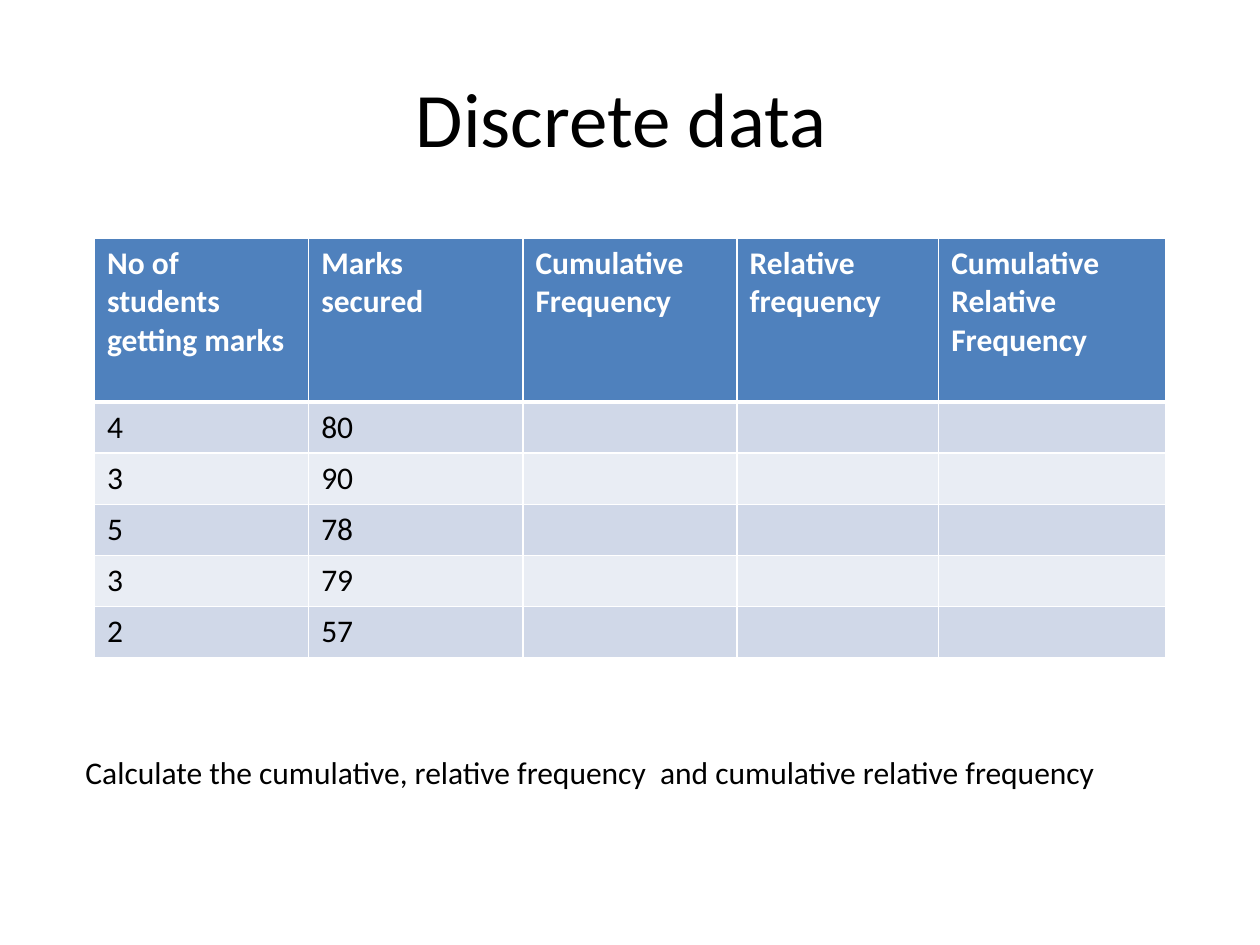
from dataclasses import dataclass

from lxml import etree
from pptx import Presentation
from pptx import util as u
from pptx.dml.color import RGBColor
from pptx.enum import text
from pptx.oxml.ns import qn

FONT = "Calibri"
COLORS = {
    "text": "000000",
    "white": "FFFFFF",
    "header": "4F81BD",
    "odd": "D0D8E8",
    "even": "E9EDF4",
}
COL_WIDTHS = [1.7, 1.7, 1.7, 1.6, 1.8]
HEADER_HEIGHT, TABLE_HEIGHT = 1.3, 3.33
HEADERS = [
    "No of students getting marks",
    "Marks secured",
    "Cumulative Frequency",
    "Relative frequency",
    "Cumulative Relative Frequency",
]
MARKS = [(4, 80), (3, 90), (5, 78), (3, 79), (2, 57)]


@dataclass
class Label:
    text: str
    left: float
    top: float
    width: float
    height: float
    size: float
    wrap: bool = False
    align: text.PP_ALIGN = text.PP_ALIGN.LEFT
    anchor: text.MSO_ANCHOR = text.MSO_ANCHOR.TOP


LABELS = [
    Label("Discrete data ", 0.5, 0.3, 9, 1.25, 44, True,
          text.PP_ALIGN.CENTER, text.MSO_ANCHOR.MIDDLE),
    Label("Calculate the cumulative, relative frequency  and cumulative relative frequency",
          0.58, 5.93, 8.32, 0.4, 18),
]


def style_font(font, size: float, color: str, bold: bool = False) -> None:
    font.name = FONT
    font.size = u.Pt(size)
    font.bold = bold
    font.color.rgb = RGBColor.from_string(COLORS[color])


def add_label(s, label: Label) -> None:
    sp = s.shapes.add_textbox(u.Inches(label.left), u.Inches(label.top),
                              u.Inches(label.width), u.Inches(label.height))
    tf = sp.text_frame
    tf.word_wrap = label.wrap
    tf.vertical_anchor = label.anchor
    tf.text = label.text
    p = tf.paragraphs[0]
    p.alignment = label.align
    style_font(p.runs[0].font, label.size, "text")


def set_borders(cell, top: float, bottom: float) -> None:
    """Draw white cell borders; they must come before the cell fill."""
    tc_pr = cell._tc.get_or_add_tcPr()
    for tag, width in (("a:lnL", 1), ("a:lnR", 1), ("a:lnT", top), ("a:lnB", bottom)):
        ln = etree.SubElement(tc_pr, qn(tag), w=str(u.Pt(width)))
        fill = etree.SubElement(ln, qn("a:solidFill"))
        etree.SubElement(fill, qn("a:srgbClr"), val=COLORS["white"])


def fill_cell(cell, row: int, value: str) -> None:
    header = row == 0
    set_borders(cell, top=3 if row == 1 else 1, bottom=3 if header else 1)
    fill = "header" if header else ("odd" if row % 2 else "even")
    cell.fill.solid()
    cell.fill.fore_color.rgb = RGBColor.from_string(COLORS[fill])
    p = cell.text_frame.paragraphs[0]
    p.text = value
    color = "white" if header else "text"
    for r in p.runs:
        style_font(r.font, 18, color, header)


def add_marks_table(s) -> None:
    blanks = [""] * (len(HEADERS) - 2)
    rows = [HEADERS] + [[str(count), str(mark)] + blanks for count, mark in MARKS]
    table = s.shapes.add_table(len(rows), len(HEADERS), u.Inches(0.75), u.Inches(1.89),
                               u.Inches(sum(COL_WIDTHS)), u.Inches(TABLE_HEIGHT)).table
    for column, width in zip(table.columns, COL_WIDTHS):
        column.width = u.Inches(width)
    body_height = (TABLE_HEIGHT - HEADER_HEIGHT) / len(MARKS)
    for i, values in enumerate(rows):
        table.rows[i].height = u.Inches(body_height if i else HEADER_HEIGHT)
        for j, value in enumerate(values):
            fill_cell(table.cell(i, j), i, value)


def main() -> None:
    prs = Presentation()
    prs.slide_width, prs.slide_height = u.Inches(10), u.Inches(7.5)
    s = prs.slides.add_slide(prs.slide_layouts[6])

    # Title and task
    for label in LABELS:
        add_label(s, label)

    # Frequency table
    add_marks_table(s)

    prs.save("out.pptx")


if __name__ == "__main__":
    main()
